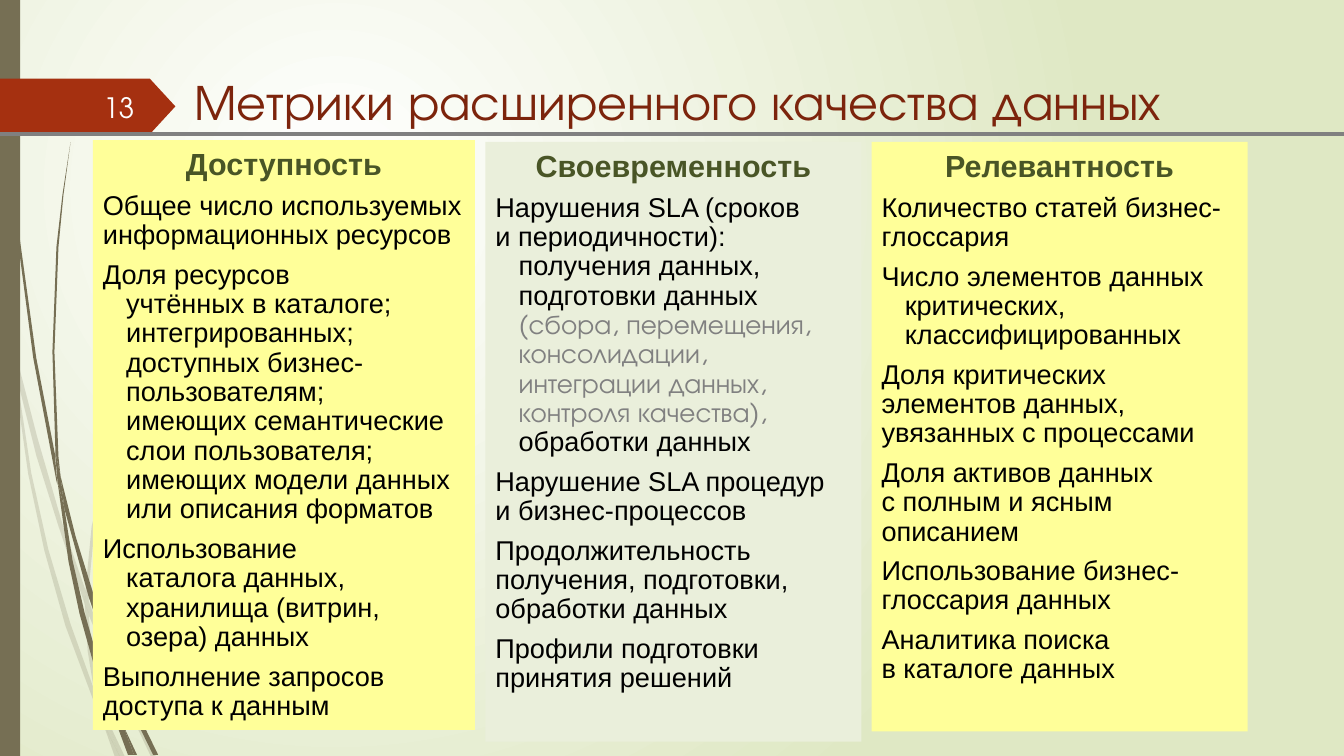
from dataclasses import dataclass

from lxml.etree import SubElement
from pptx import Presentation
from pptx.dml.color import RGBColor
from pptx.enum.shapes import MSO_CONNECTOR, MSO_SHAPE
from pptx.enum.text import MSO_ANCHOR, PP_ALIGN
from pptx.oxml import parse_xml
from pptx.oxml.ns import nsdecls, qn
from pptx.util import Pt


@dataclass(frozen=True)
class Theme:
    """Colours, fonts and type sizes of the slide."""
    bark: str = "766F54"
    badge: str = "A53010"
    title: str = "7C240C"
    light: str = "FEFFFF"
    gray: str = "808080"
    black: str = "000000"
    head: str = "495526"
    yellow: str = "FFFF99"
    pale: str = "EAEFDB"
    glow: str = "FFFFFF"
    edge: str = "DFE8C4"
    sans: str = "Arial"
    round: str = "TeX Gyre Adventor"
    big: float = 36
    page: float = 20
    top: float = 21.8
    body: float = 19.4
    gap: float = 7.3
    indent: float = 16.6


THEME = Theme()

FAINT = [
    [(11, 350), (9, 322), (0, 282), (0, 299), (10, 344)],
    [(58, 522), (84, 599), (85, 586), (62, 520), (37, 434), (14, 345), (17, 376), (36, 452)],
    [(92, 607), (88, 596), (88, 610), (123, 694), (150, 751), (155, 751), (127, 692)],
    [(119, 751), (124, 751), (105, 711)],
    [(93, 683), (70, 619), (48, 545), (31, 469), (17, 376), (11, 350), (28, 470),
     (44, 546), (65, 621), (92, 693), (101, 714), (99, 707)],
    [(84, 599), (87, 646), (93, 683), (96, 692), (105, 711), (103, 706), (91, 646),
     (88, 610), (88, 608)],
    [(88, 584), (94, 523), (110, 462), (132, 405), (160, 349), (193, 296), (229, 245),
     (268, 198), (290, 175), (312, 154), (312, 153), (289, 175), (268, 197), (228, 244),
     (191, 295), (158, 348), (130, 403), (107, 461), (91, 522), (85, 584), (85, 586), (88, 596)],
    [(101, 714), (114, 751), (119, 751)],
    [(88, 608), (88, 596), (85, 586), (84, 599)],
    [(96, 692), (93, 683), (99, 707), (101, 714), (119, 751), (105, 711)],
]
SOLID = [
    [(7, 110), (17, 233), (33, 355), (56, 477), (57, 481), (55, 457), (55, 453),
     (36, 355), (19, 232), (8, 109), (5, 48), (4, 0), (3, 0), (4, 48)],
    [(88, 592), (106, 645), (106, 631), (93, 590), (75, 532), (60, 472), (64, 505)],
    [(113, 649), (110, 641), (111, 656), (132, 708), (152, 749), (157, 749), (136, 706)],
    [(110, 691), (98, 657), (84, 608), (72, 556), (64, 505), (57, 477), (68, 557),
     (79, 609), (93, 659), (111, 708), (117, 722), (116, 717)],
    [(60, 472), (58, 453), (54, 349), (58, 245), (63, 193), (70, 141), (62, 193),
     (56, 245), (52, 349), (55, 449)],
    [(133, 749), (136, 749), (122, 719)],
    [(57, 477), (64, 505), (60, 472), (55, 449), (55, 453)],
    [(117, 722), (127, 749), (131, 749)],
    [(116, 706), (110, 691), (116, 717), (117, 722), (130, 749), (133, 749), (122, 719)],
]

ACCESS = ("Доступность", [
    ["Общее число используемых информационных ресурсов"],
    ["Доля ресурсов", "учтённых в каталоге;", "интегрированных;",
     "доступных бизнес-пользователям;", "имеющих семантические слои пользователя;",
     "имеющих модели данных\nили описания форматов"],
    ["Использование", "каталога данных,\nхранилища (витрин, озера) данных"],
    ["Выполнение запросов доступа к данным"],
])
TIMELY = ("Своевременность", [
    ["Нарушения SLA (сроков\nи периодичности):", "получения данных,", "подготовки данных",
     "(сбора, перемещения, консолидации,\nинтеграции данных,\nконтроля качества),",
     "обработки данных"],
    ["Нарушение SLA процедур\nи бизнес-процессов"],
    ["Продолжительность\nполучения, подготовки, обработки данных"],
    ["Профили подготовки\nпринятия решений"],
])
FITNESS = ("Релевантность", [
    ["Количество статей бизнес-глоссария"],
    ["Число элементов данных", "критических,\nклассифицированных"],
    ["Доля критических элементов данных, увязанных с процессами"],
    ["Доля активов данных\nс полным и ясным описанием"],
    ["Использование бизнес-глоссария данных"],
    ["Аналитика поиска\nв каталоге данных"],
])


def paint(shape, color):
    """Give a shape a plain fill without line or shadow."""
    shape.shadow.inherit = False
    shape.fill.solid()
    shape.fill.fore_color.rgb = RGBColor.from_string(color)
    shape.line.fill.background()


def block(slide, kind, box, color):
    """Add a plain preset shape in a box."""
    shape = slide.shapes.add_shape(kind, *map(Pt, box))
    paint(shape, color)
    return shape


def style(para, text, size, color, font, bold=False):
    """Set the text of a paragraph and format its runs."""
    para.text = text
    for run in para.runs:
        run.font.size = Pt(size)
        run.font.name = font
        run.font.bold = bold
        run.font.color.rgb = RGBColor.from_string(color)


def label(slide, box, text, size, color):
    """Add one line of text and return its frame."""
    frame = slide.shapes.add_textbox(*map(Pt, box)).text_frame
    frame.word_wrap = True
    style(frame.paragraphs[0], text, size, color, THEME.round)
    return frame


def backdrop(slide):
    """Fill the background with a round glow."""
    fill = slide.background.fill
    fill.gradient()
    old = slide.background._cSld.bg.bgPr.find(qn("a:gradFill"))
    new = parse_xml(
        f'<a:gradFill {nsdecls("a")} rotWithShape="1"><a:gsLst>'
        f'<a:gs pos="0"><a:srgbClr val="{THEME.glow}"/></a:gs>'
        f'<a:gs pos="100000"><a:srgbClr val="{THEME.edge}"/></a:gs></a:gsLst>'
        '<a:path path="circle"><a:fillToRect l="50000" t="50000" r="100000" b="100000"/>'
        '</a:path></a:gradFill>')
    old.getparent().replace(old, new)


def grass(slide, blades, alpha=None):
    """Draw blades given in hundredths of 72 points."""
    for first, *rest in blades:
        pen = slide.shapes.build_freeform(*first, scale=Pt(0.72))
        pen.add_line_segments(rest, close=True)
        blade = pen.convert_to_shape()
        paint(blade, THEME.bark)
        if alpha:
            tint = blade._element.spPr.find(qn("a:solidFill"))[0]
            SubElement(tint, qn("a:alpha")).set("val", str(alpha * 1000))


def header(slide, box):
    """Place the badge, title, page number and rule in a box."""
    left, top, width, height = box
    arrow = block(slide, MSO_SHAPE.PENTAGON, (left, top, 125.3, height), THEME.badge)
    arrow.adjustments[0] = 0.46
    title = label(slide, (left + 131.8, top - 1.4, width - 131.8, 46),
                  "Метрики расширенного качества данных", THEME.big, THEME.title)
    title.paragraphs[0].line_spacing = 0.8
    page = label(slide, (left + 41.8, top + 5.7, 61.2, 28.8), "13", THEME.page, THEME.light)
    page.vertical_anchor = MSO_ANCHOR.MIDDLE
    page.paragraphs[0].alignment = PP_ALIGN.RIGHT
    base = Pt(top + height)
    rule = slide.shapes.add_connector(MSO_CONNECTOR.STRAIGHT, Pt(left), base,
                                      Pt(left + width), base)
    rule.line.color.rgb = RGBColor.from_string(THEME.gray)
    rule.line.width = Pt(3)
    SubElement(rule._element.spPr, qn("a:effectLst"))


def panel(slide, box, color, topic):
    """Fill a box with a heading and its groups of metrics."""
    name, groups = topic
    frame = block(slide, MSO_SHAPE.RECTANGLE, box, color).text_frame
    frame.word_wrap = True
    frame.vertical_anchor = MSO_ANCHOR.TOP
    head = frame.paragraphs[0]
    style(head, name, THEME.top, THEME.head, THEME.sans, True)
    head.alignment = PP_ALIGN.CENTER
    head.space_after = Pt(THEME.gap)
    for order, group in enumerate(groups):
        for depth, text in enumerate(group):
            para = frame.add_paragraph()
            note = text.startswith("(")
            style(para, text, THEME.body, THEME.gray if note else THEME.black,
                  THEME.round if note else THEME.sans)
            para.alignment = PP_ALIGN.LEFT
            para.line_spacing = 0.9
            if depth:
                para._p.get_or_add_pPr().set("marL", str(Pt(THEME.indent)))
            elif order:
                para.space_before = Pt(THEME.gap)


def main():
    """Build and save the slide."""
    deck = Presentation()
    deck.slide_width, deck.slide_height = Pt(960), Pt(540)
    slide = deck.slides.add_slide(deck.slide_layouts[6])
    backdrop(slide)
    grass(slide, FAINT, 20)
    grass(slide, SOLID)
    block(slide, MSO_SHAPE.RECTANGLE, (0, 0, 14.4, 540), THEME.bark)
    header(slide, (0, 56.2, 960, 39.6))
    panel(slide, (66.4, 100.1, 272.9, 421.2), THEME.yellow, ACCESS)
    panel(slide, (346.8, 101.3, 268.6, 428.4), THEME.pale, TIMELY)
    panel(slide, (622.6, 101.3, 268.6, 421.2), THEME.yellow, FITNESS)
    deck.save("out.pptx")


if __name__ == "__main__":
    main()
